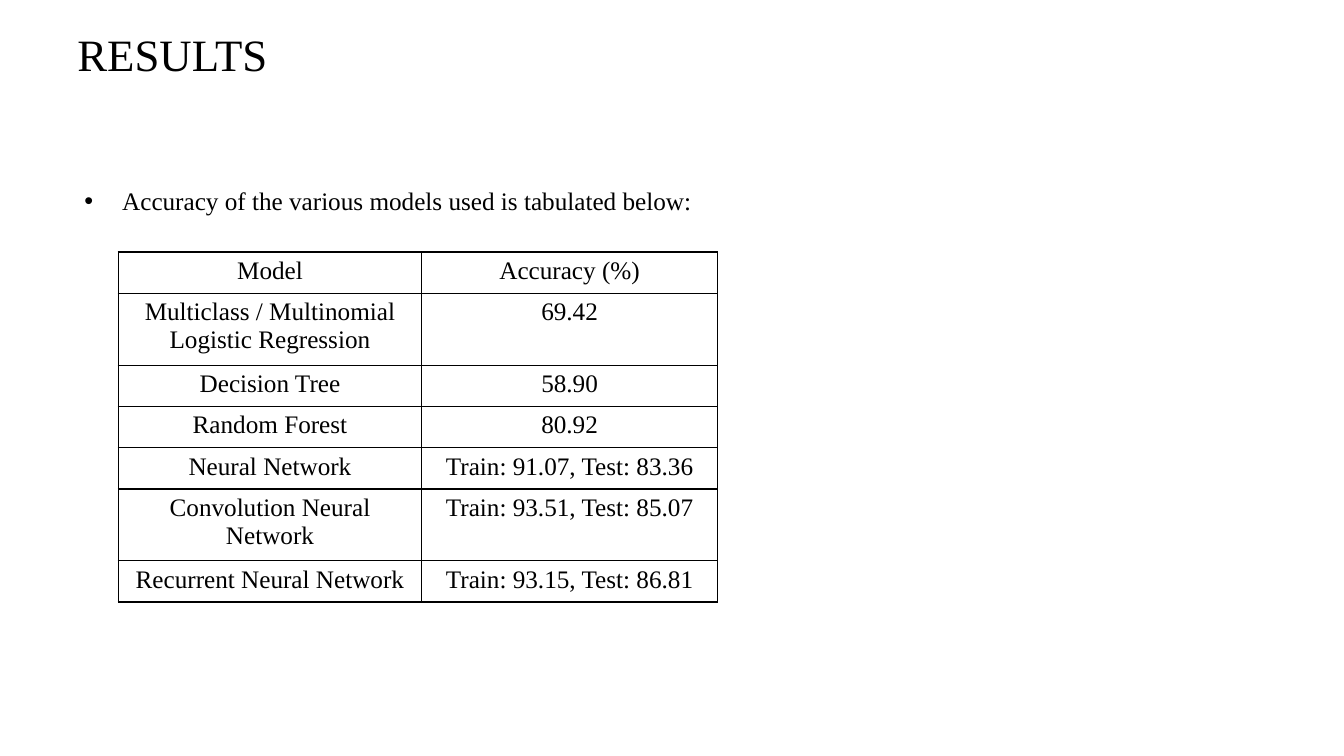
from lxml.etree import SubElement
from pptx import Presentation
from pptx.dml.color import RGBColor
from pptx.enum.text import MSO_ANCHOR, PP_ALIGN
from pptx.oxml.ns import qn
from pptx.util import Cm, Pt

FONT = "Times New Roman"
BLACK = "000000"
ROWS = [
    ("Model", "Accuracy (%)"),
    ("Multiclass / Multinomial Logistic Regression", "69.42"),
    ("Decision Tree", "58.90"),
    ("Random Forest", "80.92"),
    ("Neural Network", "Train: 91.07, Test: 83.36"),
    ("Convolution Neural Network", "Train: 93.51, Test: 85.07"),
    ("Recurrent Neural Network", "Train: 93.15, Test: 86.81"),
]
WIDTHS = (7.65, 7.45)
LOW, TALL = 1.04, 1.81
TWO_LINES = (1, 5)


def paint(target, color):
    target.rgb = RGBColor.from_string(color)


def add_run(para, text, size):
    run = para.add_run()
    run.text = text
    run.font.name = FONT
    run.font.size = Pt(size)
    run.font.bold = False
    paint(run.font.color, BLACK)


def add_text(slide, box, text, size, anchor=MSO_ANCHOR.TOP):
    frame = slide.shapes.add_textbox(*map(Cm, box)).text_frame
    frame.word_wrap = True
    frame.vertical_anchor = anchor
    para = frame.paragraphs[0]
    add_run(para, text, size)
    return para


def add_bullet(para, indent):
    props = para._p.get_or_add_pPr()
    props.set("marL", str(Cm(indent)))
    props.set("indent", str(-Cm(indent)))
    SubElement(props, qn("a:buFont"), typeface="Arial")
    SubElement(props, qn("a:buChar"), char="•")


def add_border(cell, color, width):
    props = cell._tc.get_or_add_tcPr()
    for side in ("lnL", "lnR", "lnT", "lnB"):
        line = SubElement(props, qn(f"a:{side}"), w=str(Pt(width)))
        fill = SubElement(line, qn("a:solidFill"))
        SubElement(fill, qn("a:srgbClr"), val=color)


def fill_cell(cell, text):
    add_border(cell, BLACK, 1)
    cell.fill.background()
    para = cell.text_frame.paragraphs[0]
    para.alignment = PP_ALIGN.CENTER
    add_run(para, text, 18)


def add_grid(slide, left, top):
    heights = [TALL if i in TWO_LINES else LOW for i in range(len(ROWS))]
    box = map(Cm, (left, top, sum(WIDTHS), sum(heights)))
    table = slide.shapes.add_table(len(ROWS), len(WIDTHS), *box).table
    table.first_row = table.horz_banding = False
    for col, width in zip(table.columns, WIDTHS):
        col.width = Cm(width)
    for row, height, texts in zip(table.rows, heights, ROWS):
        row.height = Cm(height)
        for cell, text in zip(row.cells, texts):
            fill_cell(cell, text)


def main():
    deck = Presentation()
    deck.slide_width, deck.slide_height = Cm(33.87), Cm(19.05)
    slide = deck.slides.add_slide(deck.slide_layouts[6])
    add_text(slide, (1.7, 0.53, 30.48, 1.63), "RESULTS", 32, MSO_ANCHOR.MIDDLE)
    intro = add_text(slide, (1.88, 4.55, 23.88, 10.87),
                     "Accuracy of the various models used is tabulated below:", 18)
    intro.space_before = Pt(3.6)
    add_bullet(intro, 0.95)
    add_grid(slide, 2.98, 6.35)
    deck.save("out.pptx")


if __name__ == "__main__":
    main()
